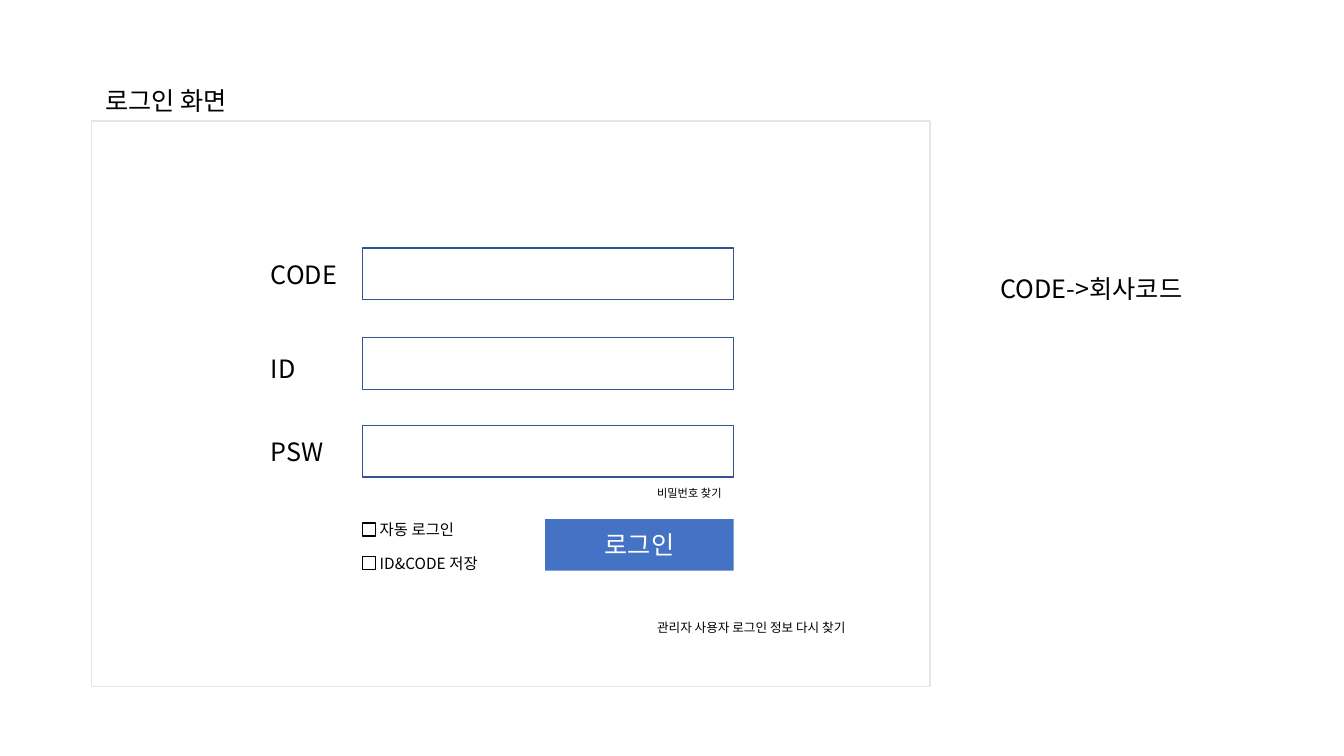
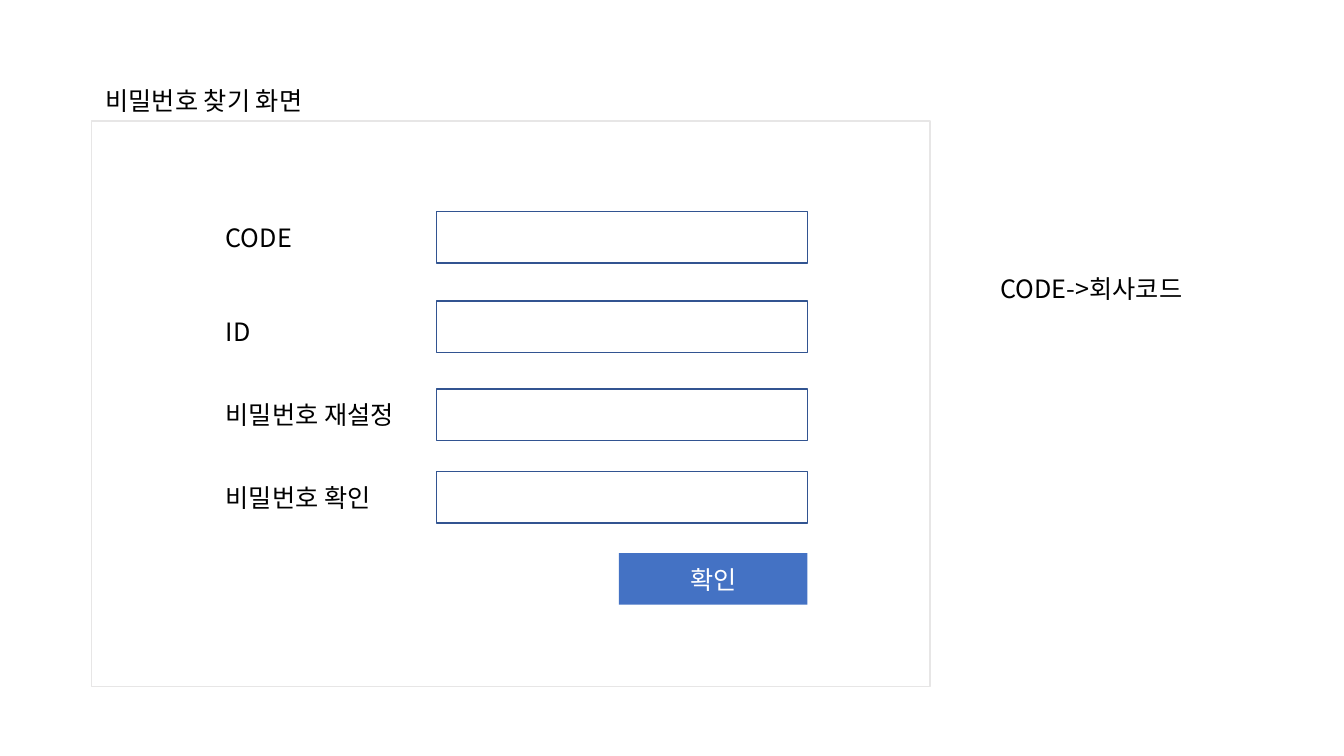
"""Build the login and password recovery screen wireframes."""
from lxml import etree
from pptx import Presentation
from pptx.dml.color import RGBColor
from pptx.enum.shapes import MSO_SHAPE
from pptx.enum.text import MSO_ANCHOR, MSO_AUTO_SIZE, PP_ALIGN
from pptx.oxml.ns import qn
from pptx.util import Cm, Pt

RECT = MSO_SHAPE.RECTANGLE
MIDDLE = MSO_ANCHOR.MIDDLE
GROW = MSO_AUTO_SIZE.SHAPE_TO_FIT_TEXT
LEFT, CENTER = PP_ALIGN.LEFT, PP_ALIGN.CENTER
FONT = "Noto Sans CJK KR"
BLACK, WHITE, GREY, BLUE, NAVY = "000000", "FFFFFF", "E7E6E6", "4472C4", "325491"
FIELD_W, FIELD_H, BUTTON_W = 9.35, 1.3, 4.75
FIELD_OFFSETS = [0, 2.26, 4.47, 6.55]
LABEL_OFFSETS = [0.15, 2.52, 4.62, 6.7]


def text(s, value, x=0, y=0, w=0, h=1.02, size=18, color=BLACK, align=LEFT, shape=None):
    sp = shape or s.shapes.add_textbox(Cm(x), Cm(y), Cm(w), Cm(h))
    tf = sp.text_frame
    if shape is None:
        tf.word_wrap = False
        tf.auto_size = GROW
    else:
        tf.vertical_anchor = MIDDLE
    p = tf.paragraphs[0]
    p.text = value
    p.alignment = align
    p.font.size = Pt(size)
    p.font.color.rgb = RGBColor.from_string(color)
    p.font.name = FONT
    props = p._p.pPr.find(qn("a:defRPr"))
    etree.SubElement(props, qn("a:ea")).set("typeface", FONT)


def box(s, x, y, w, h, fill=None, line=None):
    sp = s.shapes.add_shape(RECT, Cm(x), Cm(y), Cm(w), Cm(h))
    sp.shadow.inherit = False
    if fill:
        sp.fill.solid()
        sp.fill.fore_color.rgb = RGBColor.from_string(fill)
    else:
        sp.fill.background()
    if line:
        sp.line.color.rgb = RGBColor.from_string(line)
        sp.line.width = Pt(1)
    else:
        sp.line.fill.background()
    return sp


prs = Presentation()
prs.slide_width, prs.slide_height = Cm(33.87), Cm(19.05)

screens = [
    dict(title="로그인 화면", title_w=3.94, label_x=6.58, field_x=9.14, top=6.25,
         labels=[("CODE", 2.18), ("ID", 1.14), ("PSW", 1.83)],
         button="로그인", button_y=13.08,
         options=[("자동 로그인", 2.62), ("ID&CODE 저장", 3.18)],
         links=[("비밀번호 찾기", 12.14, 2.34, 0.61, 8),
                ("관리자 사용자 로그인 정보 다시 찾기", 15.49, 5.87, 0.64, 9)]),
    dict(title="비밀번호 찾기 화면", title_w=6.1, label_x=5.44, field_x=11, top=5.33,
         labels=[("CODE", 2.18), ("ID", 1.14), ("비밀번호 재설정", 5.23), ("비밀번호 확인", 4.6)],
         button="확인", button_y=13.94, options=[], links=[]),
]

for screen in screens:
    s = prs.slides.add_slide(prs.slide_layouts[6])
    field_x, top = screen["field_x"], screen["top"]
    box(s, 2.31, 3.05, 21.13, 14.25, WHITE, GREY)
    text(s, screen["title"], 2.41, 2.03, screen["title_w"])
    text(s, "CODE->회사코드", 24.97, 6.76, 5.46)

    for (label, w), field_dy, label_dy in zip(screen["labels"], FIELD_OFFSETS, LABEL_OFFSETS):
        box(s, field_x, top + field_dy, FIELD_W, FIELD_H, WHITE, NAVY)
        text(s, label, screen["label_x"], top + label_dy, w)

    button = box(s, field_x + FIELD_W - BUTTON_W, screen["button_y"], BUTTON_W, FIELD_H, BLUE)
    text(s, screen["button"], color=WHITE, align=CENTER, shape=button)

    for i, (option, w) in enumerate(screen["options"]):
        y = 12.98 + i * 0.85
        text(s, option, field_x + 0.18, y, w, 0.74, 11)
        box(s, field_x, y + 0.2, 0.33, 0.33, line=BLACK)

    for link, y, w, h, size in screen["links"]:
        text(s, link, 16.31, y, w, h, size)

prs.save("out.pptx")
